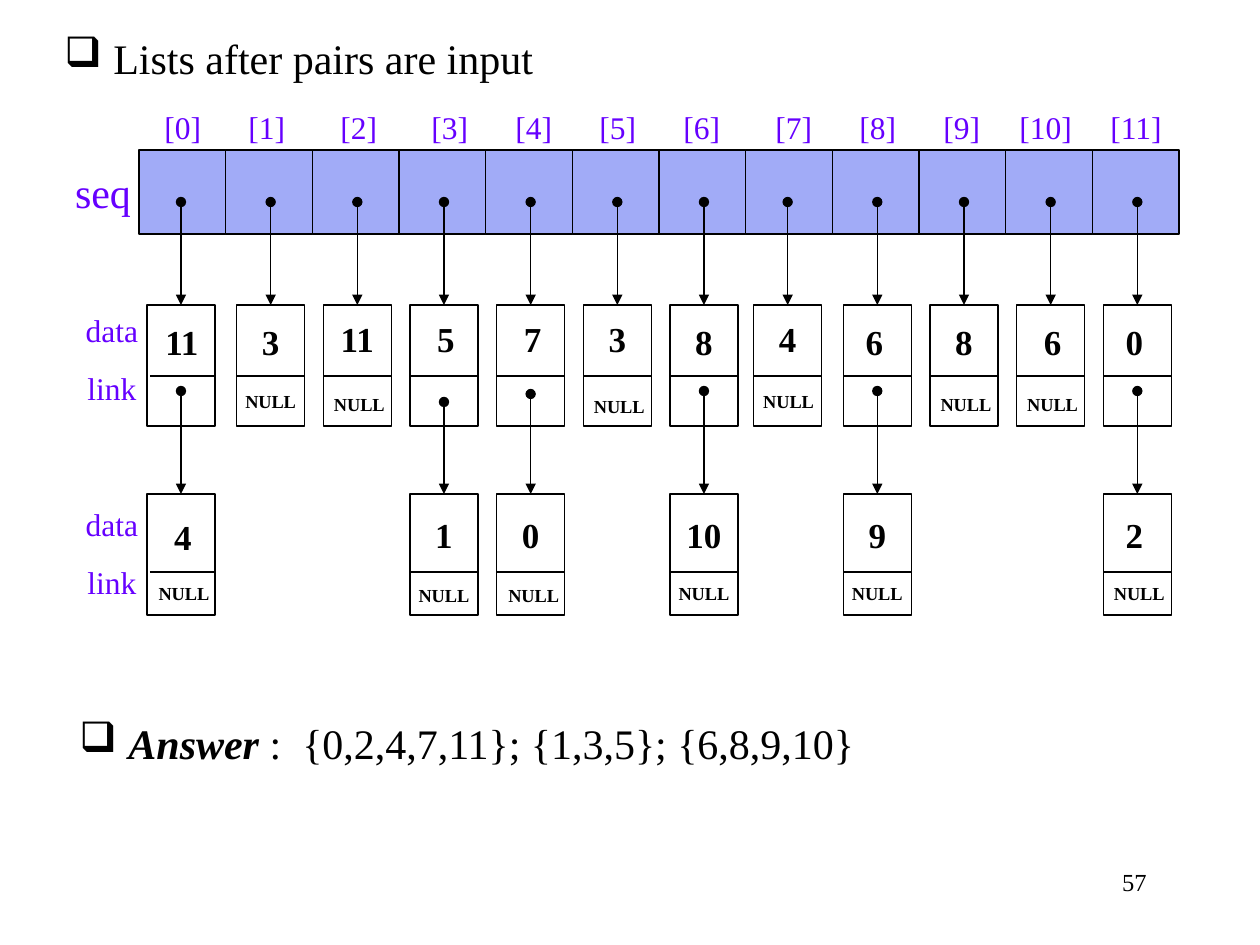
from lxml import etree
from pptx import Presentation
from pptx.dml.color import RGBColor
from pptx.enum.shapes import MSO_CONNECTOR, MSO_SHAPE
from pptx.enum.text import PP_ALIGN
from pptx.oxml.ns import qn
from pptx.util import Emu, Pt

LEFT, MID, RIGHT = PP_ALIGN.LEFT, PP_ALIGN.CENTER, PP_ALIGN.RIGHT
RECT, LINE = MSO_SHAPE.RECTANGLE, MSO_CONNECTOR.STRAIGHT
BLACK = RGBColor(0x00, 0x00, 0x00)
VIOLET = RGBColor(0x66, 0x00, 0xFF)
BLUE = RGBColor(0xA1, 0xAB, 0xF7)
FONT = "Times New Roman"
COLS, NODE_W, NODE_H = 12, 68, 121

# Left edge of each index label, from the first one
TABS = [84, 176, 267, 351, 435, 519, 611, 695, 779, 855, 946]

# column: (value, its x shift, its y, x shift of NULL, y of NULL or None, y of link dot)
FIRST = {
    0: ("11", 1, 9, 0, None, 86),
    1: ("3", 0, 9, 0, 79, None),
    2: ("11", 0, 6, 2, 82, None),
    3: ("5", 2, 6, 0, None, 97),
    4: ("7", 2, 6, 0, None, 89),
    5: ("3", 0, 6, 2, 84, None),
    6: ("8", 0, 9, 0, None, 86),
    7: ("4", 0, 6, 1, 79, None),
    8: ("6", -3, 9, 0, None, 86),
    9: ("8", 0, 9, 2, 82, None),
    10: ("6", 2, 9, 2, 82, None),
    11: ("0", -3, 9, 0, None, 86),
}
SECOND = {
    0: ("4", 2, 15, 3, 82, None),
    3: ("1", 0, 13, 0, 84, None),
    4: ("0", 0, 13, 3, 84, None),
    6: ("10", 0, 13, 0, 82, None),
    8: ("9", 0, 13, 0, 82, None),
    11: ("2", -3, 13, 2, 82, None),
}


def px(n):
    return Emu(round(n * 914400 / 126))


def add_text(slide, text, box, size=18, color=BLACK, bold=False, align=MID,
             lead="", bullet=False, tabs=()):
    """Place one line of text; lead is a bold italic opening."""
    shape = slide.shapes.add_textbox(*map(px, box))
    frame = shape.text_frame
    frame.word_wrap = align != MID
    para = frame.paragraphs[0]
    para.alignment = align
    props = para._p.get_or_add_pPr()
    if bullet:
        props.set("marL", str(px(49)))
        props.set("indent", str(px(-49)))
        etree.SubElement(props, qn("a:buChar"), char="❑")
    if tabs:
        stops = etree.SubElement(props, qn("a:tabLst"))
        for pos in tabs:
            etree.SubElement(stops, qn("a:tab"), pos=str(px(pos)), algn="l")
    for part, strong in ((lead, True), (text, False)):
        if part:
            run = para.add_run()
            run.text = part
            run.font.name = FONT
            run.font.size = Pt(size)
            run.font.color.rgb = color
            run.font.bold = bold or strong
            run.font.italic = strong


def add_rect(slide, box, fill=None):
    shape = slide.shapes.add_shape(RECT, *map(px, box))
    shape.shadow.inherit = False
    if fill is None:
        shape.fill.background()
    else:
        shape.fill.solid()
        shape.fill.fore_color.rgb = fill
    shape.line.color.rgb = BLACK
    shape.line.width = Pt(0.75)


def add_line(slide, x1, y1, x2, y2, arrow=False):
    line = slide.shapes.add_connector(LINE, *map(px, (x1, y1, x2, y2)))
    line.line.color.rgb = BLACK
    line.line.width = Pt(0.75)
    if arrow:
        stroke = line.line._get_or_add_ln()
        etree.SubElement(stroke, qn("a:headEnd"), type="oval")
        etree.SubElement(stroke, qn("a:tailEnd"), type="triangle")
    etree.SubElement(line._element.spPr, qn("a:effectLst"))


def node_x(left, width, col):
    """Left edge of the node under a column; columns 0 and 7 sit a bit left."""
    return left + 11 + col * width / COLS - (3 if col in (0, 7) else 0)


def add_seq(slide, left, top, width, height):
    """Draw the array with its name and index labels."""
    step = width / COLS
    for col in range(COLS):
        add_rect(slide, (left + col * step, top, step, height), BLUE)
    add_text(slide, "seq", (left - 77, top + 10, 82, 63), size=24, color=VIOLET)
    marks = "\t".join(f"[{col}]" for col in range(COLS))
    add_text(slide, marks, (left + 13, top - 48, width + 10, 50),
             color=VIOLET, align=LEFT, tabs=TABS)


def add_node(slide, left, top, cut, node, goal):
    """Draw a node split at cut; its link, if any, points down to goal."""
    value, shift, value_y, null_x, null_y, dot = node
    mid = left + NODE_W / 2
    add_rect(slide, (left, top, NODE_W, NODE_H))
    add_line(slide, max(left, 150), top + cut, left + NODE_W, top + cut)
    add_text(slide, value, (mid + shift - 30, top + value_y, 60, 54), size=20, bold=True)
    if dot is None:
        add_text(slide, "NULL", (mid + null_x - 38, top + null_y, 76, 35),
                 size=10.5, bold=True)
    else:
        add_line(slide, mid, top + dot, mid, goal, arrow=True)


def add_row(slide, left, top, width, nodes, cut, drop, goal=None):
    """Draw a row of nodes, with labels moved down by drop."""
    for text, y in (("data", 0), ("link", 58)):
        add_text(slide, text, (left - 66, top + drop + y, 78, 50), color=VIOLET)
    for col, node in nodes.items():
        add_node(slide, node_x(left, width, col), top, cut, node, goal)


def add_lists(slide, left, top, width):
    """Draw the array and the two rows of linked nodes."""
    first, second = top + 155, top + 344
    add_seq(slide, left, top, width, 84)
    for col in range(COLS):
        mid = node_x(left, width, col) + NODE_W / 2
        add_line(slide, mid, top + 52, mid, first, arrow=True)
    add_row(slide, left, first, width, FIRST, 71, 0, second)
    add_row(slide, left, second, width, SECOND, 78, 5)


def main():
    deck = Presentation()
    deck.slide_width, deck.slide_height = px(1260), px(945)
    slide = deck.slides.add_slide(deck.slide_layouts[6])
    add_text(slide, "57", (897, 861, 262, 63), size=14, align=RIGHT)
    add_lists(slide, 139, 150, 1040)
    add_text(slide, "Lists after pairs are input", (52, 26, 505, 64),
             size=24, align=LEFT, bullet=True)
    add_text(slide, ":  {0,2,4,7,11}; {1,3,5}; {6,8,9,10}", (67, 711, 812, 64),
             size=24, align=LEFT, lead="Answer ", bullet=True)
    deck.save("out.pptx")


if __name__ == "__main__":
    main()
